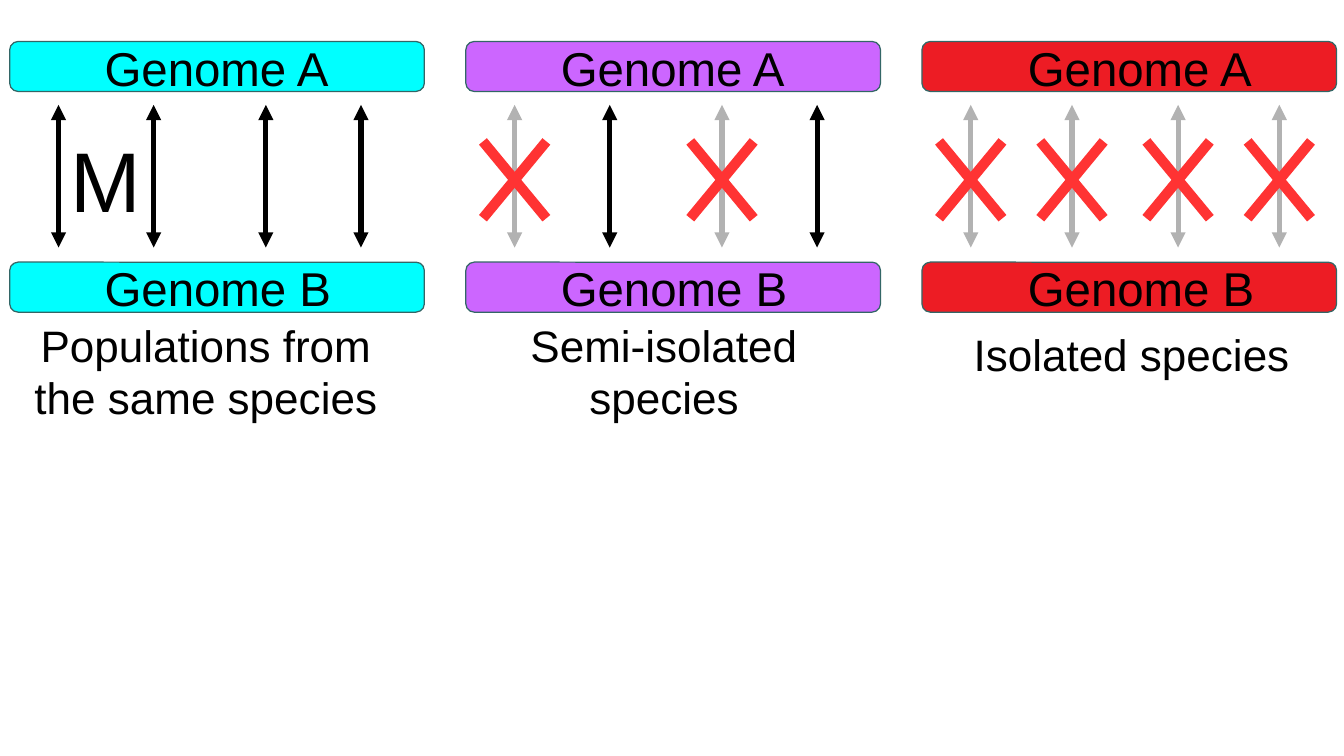
import pptx
import pptx.dml.color
import pptx.enum.shapes
import pptx.enum.text
import pptx.oxml.ns
import pptx.util
from lxml import etree

Inches = pptx.util.Inches
Pt = pptx.util.Pt
RGBColor = pptx.dml.color.RGBColor
ALIGN = pptx.enum.text.PP_ALIGN

BLACK = RGBColor(0x00, 0x00, 0x00)
GREY = RGBColor(0xB2, 0xB2, 0xB2)
CROSS_RED = RGBColor(0xFF, 0x33, 0x33)
OUTLINE = RGBColor(0x33, 0x66, 0x66)
CYAN = RGBColor(0x00, 0xFF, 0xFF)
PURPLE = RGBColor(0xCC, 0x66, 0xFF)
RED = RGBColor(0xED, 0x1C, 0x24)

# Arrow, label and caption positions are measured from the panel's left edge.
# Each arrow is (offset, blocked); each caption box is (offset, top, width, height).
PANELS = [
    {"fill": CYAN, "label_offset": 0.68,
     "arrows": [(0.4, False), (1.18, False), (2.1, False), (2.88, False)],
     "caption": ["Populations from", "the same species"],
     "caption_box": (0.1, 2.56, 3.02, 0.91)},
    {"fill": PURPLE, "label_offset": 0.68,
     "arrows": [(0.4, True), (1.18, False), (2.1, True), (2.88, False)],
     "caption": ["Semi-isolated", "species"],
     "caption_box": (0.43, 2.56, 2.39, 0.91)},
    {"fill": RED, "label_offset": 0.77,
     "arrows": [(0.4, True), (1.23, True), (2.1, True), (2.93, True)],
     "caption": ["Isolated species"],
     "caption_box": (0.32, 2.64, 2.8, 0.5)},
]
GENOMES = [("Genome A", 0.34), ("Genome B", 2.15)]
MIGRATION = "M"

SLIDE_WIDTH, SLIDE_HEIGHT = 11.02, 6.2
MARGIN = 0.08
BAR_WIDTH, BAR_HEIGHT = 3.4, 0.41
PITCH = (SLIDE_WIDTH - 2 * MARGIN - BAR_WIDTH) / 2 + 0.01
LABEL_WIDTH, LABEL_HEIGHT, LABEL_RISE = 2.7, 0.53, 0.07
ARROW_TOP, ARROW_BOTTOM = 0.86, 2.03
CROSS_TOP, CROSS_BOTTOM, CROSS_REACH = 1.16, 1.79, 0.26


def add_text(page, lines, left, top, width, height, size, align=ALIGN.LEFT, wrap=False):
    box = page.shapes.add_textbox(Inches(left), Inches(top), Inches(width), Inches(height))
    frame = box.text_frame
    frame.word_wrap = wrap
    frame.auto_size = pptx.enum.text.MSO_AUTO_SIZE.SHAPE_TO_FIT_TEXT
    for index, line in enumerate(lines):
        para = frame.add_paragraph() if index else frame.paragraphs[0]
        para.alignment = align
        span = para.add_run()
        span.text = line
        span.font.name = "Arial"
        span.font.size = Pt(size)
        span.font.color.rgb = BLACK


def add_bar(page, left, top, fill):
    bar = page.shapes.add_shape(
        pptx.enum.shapes.MSO_SHAPE.ROUNDED_RECTANGLE,
        Inches(left), Inches(top), Inches(BAR_WIDTH), Inches(BAR_HEIGHT))
    bar.shadow.inherit = False
    bar.fill.solid()
    bar.fill.fore_color.rgb = fill
    bar.line.color.rgb = OUTLINE
    bar.line.width = Pt(0)


def add_line(page, start, end, color, width, heads=False):
    line = page.shapes.add_connector(
        pptx.enum.shapes.MSO_CONNECTOR.STRAIGHT, *map(Inches, start + end))
    line.line.color.rgb = color
    line.line.width = Pt(width)
    if heads:
        outline = line.line._get_or_add_ln()
        for end_name in ("a:headEnd", "a:tailEnd"):
            etree.SubElement(outline, pptx.oxml.ns.qn(end_name), type="triangle")
    etree.SubElement(line._element.spPr, pptx.oxml.ns.qn("a:effectLst"))


def add_exchange(page, center, blocked):
    """Draw a two-way arrow between the genomes, crossed out when blocked."""
    add_line(page, (center, ARROW_BOTTOM), (center, ARROW_TOP),
             GREY if blocked else BLACK, 3, heads=True)
    if blocked:
        for reach in (CROSS_REACH, -CROSS_REACH):
            add_line(page, (center - reach, CROSS_TOP), (center + reach, CROSS_BOTTOM),
                     CROSS_RED, 6)


def add_panel(page, left, panel):
    for name, top in GENOMES:
        add_bar(page, left, top, panel["fill"])
        add_text(page, [name], left + panel["label_offset"], top - LABEL_RISE,
                 LABEL_WIDTH, LABEL_HEIGHT, 28, wrap=True)
    for offset, blocked in panel["arrows"]:
        add_exchange(page, left + offset, blocked)
    offset, top, width, height = panel["caption_box"]
    add_text(page, panel["caption"], left + offset, top, width, height, 26,
             align=ALIGN.CENTER)


def main():
    deck = pptx.Presentation()
    deck.slide_width, deck.slide_height = Inches(SLIDE_WIDTH), Inches(SLIDE_HEIGHT)
    page = deck.slides.add_slide(deck.slide_layouts[6])
    for column, panel in enumerate(PANELS):
        add_panel(page, MARGIN + column * PITCH, panel)
    add_text(page, [MIGRATION], MARGIN + 0.4, 1, 0.78, 0.87, 50)
    deck.save("out.pptx")


if __name__ == "__main__":
    main()
